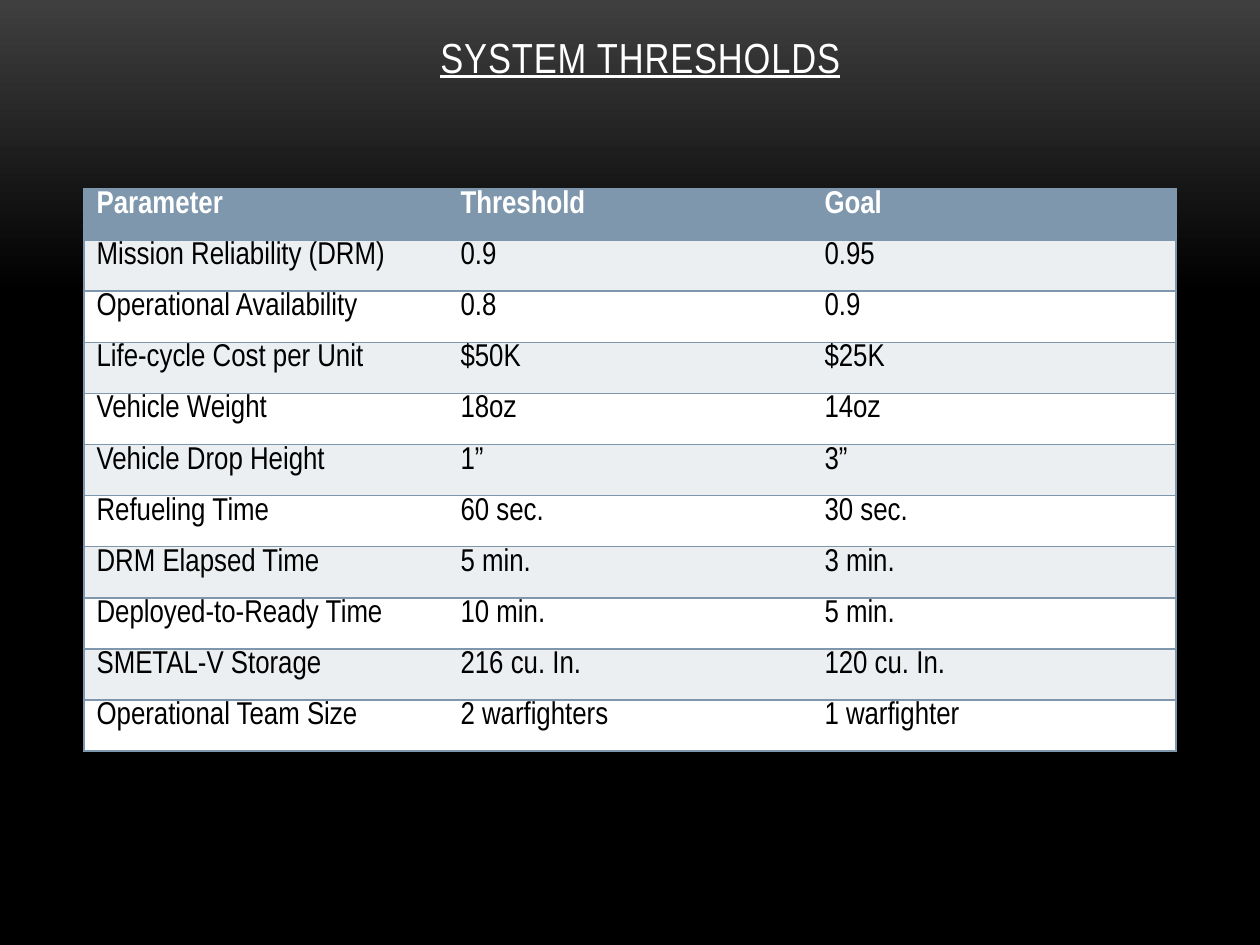
"""Build the System Thresholds slide: a heading above a bordered parameter table."""
import pptx
import pptx.dml.color
import pptx.enum.text
import pptx.oxml.ns
import pptx.util
from lxml import etree

Pt = pptx.util.Pt
qn = pptx.oxml.ns.qn
STEEL, PALE, WHITE, BLACK = "7E97AD", "ECEFF1", "FFFFFF", "000000"


def paint(color_format, value):
    color_format.rgb = pptx.dml.color.RGBColor.from_string(value)


def write(paragraph, text, color, formats):
    run = paragraph.add_run()
    run.text = text
    for name, value in formats.items():
        setattr(run.font, name, value)
    paint(run.font.color, color)
    return run


deck = pptx.Presentation()
deck.slide_width, deck.slide_height = Pt(720), Pt(540)
slide = deck.slides.add_slide(deck.slide_layouts[6])

backdrop = slide.background.fill
backdrop.gradient()
backdrop.gradient_angle = 270
for stop, (position, color) in zip(backdrop.gradient_stops, [(0, "3F3F3F"), (0.31, BLACK)]):
    stop.position = position
    paint(stop.color, color)

heading = slide.shapes.add_textbox(Pt(12), Pt(12), Pt(708), Pt(63)).text_frame
heading_frame = {
    "word_wrap": True,
    "vertical_anchor": pptx.enum.text.MSO_ANCHOR.TOP,
    "margin_top": Pt(6),
}
for name, value in heading_frame.items():
    setattr(heading, name, value)
heading.paragraphs[0].alignment = pptx.enum.text.PP_ALIGN.CENTER
heading_run = write(heading.paragraphs[0], "SYSTEM THRESHOLDS", WHITE,
                    {"name": "Arial Narrow", "size": Pt(24), "underline": True})
heading_run.font._element.set("spc", "50")

parameters = [
    ("Parameter", "Threshold", "Goal"),
    ("Mission Reliability (DRM)", "0.9", "0.95"),
    ("Operational Availability", "0.8", "0.9"),
    ("Life-cycle Cost per Unit", "$50K", "$25K"),
    ("Vehicle Weight", "18oz", "14oz"),
    ("Vehicle Drop Height", "1”", "3”"),
    ("Refueling Time", "60 sec.", "30 sec."),
    ("DRM Elapsed Time", "5 min.", "3 min."),
    ("Deployed-to-Ready Time", "10 min.", "5 min."),
    ("SMETAL-V Storage", "216 cu. In.", "120 cu. In."),
    ("Operational Team Size", "2 warfighters", "1 warfighter"),
]
row_height = 29.2
last_column = len(parameters[0]) - 1
thresholds = slide.shapes.add_table(
    len(parameters), len(parameters[0]),
    Pt(48), Pt(108), Pt(624), Pt(row_height * len(parameters))).table
thresholds.horz_banding = False
for row in thresholds.rows:
    row.height = Pt(row_height)

cell_margins = {"margin_left": Pt(7.2), "margin_right": Pt(7.2),
                "margin_top": Pt(1), "margin_bottom": Pt(1)}
for row_index, entries in enumerate(parameters):
    is_header = row_index == 0
    band = STEEL if is_header else (PALE if row_index % 2 else WHITE)
    for column_index, entry in enumerate(entries):
        cell = thresholds.cell(row_index, column_index)
        for name, value in cell_margins.items():
            setattr(cell, name, value)
        edges = {"lnL": column_index == 0, "lnR": column_index == last_column,
                 "lnT": True, "lnB": True}
        cell_properties = cell._tc.get_or_add_tcPr()
        for edge, visible in edges.items():
            line = etree.SubElement(cell_properties, qn(f"a:{edge}"), w=str(Pt(1)))
            if visible:
                ink = etree.SubElement(line, qn("a:solidFill"))
                etree.SubElement(ink, qn("a:srgbClr"), val=STEEL)
            else:
                etree.SubElement(line, qn("a:noFill"))
        cell.fill.solid()
        paint(cell.fill.fore_color, band)
        write(cell.text_frame.paragraphs[0], entry, WHITE if is_header else BLACK,
              {"name": "Arial Narrow", "size": Pt(18), "bold": is_header})

deck.save("out.pptx")
